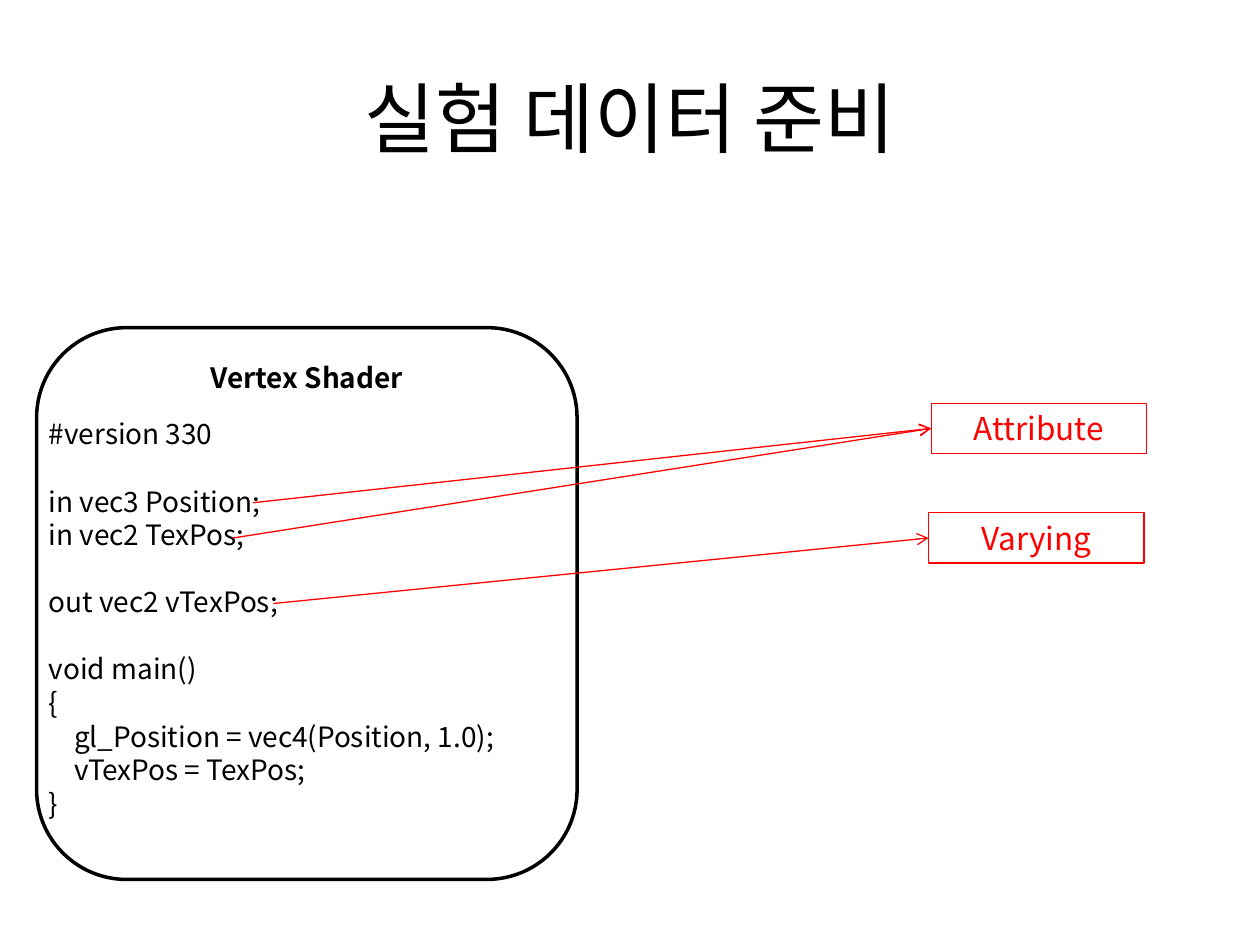
from typing import NamedTuple

from lxml.etree import SubElement
from pptx import Presentation
from pptx.dml.color import RGBColor
from pptx.enum.shapes import MSO_CONNECTOR, MSO_SHAPE
from pptx.enum.text import MSO_ANCHOR, PP_ALIGN
from pptx.oxml.ns import qn
from pptx.util import Inches, Pt

BLACK = RGBColor(0, 0, 0)
WHITE = RGBColor(255, 255, 255)
RED = RGBColor(255, 0, 0)
FONT = "Noto Sans CJK KR"
LINE_RATIO = 1.2
CODE_SIZE = 16
LABEL_SIZE = 18
PANEL_LEFT, PANEL_WIDTH = 0.29, 4.29
LABEL_WIDTH, LABEL_HEIGHT = 1.71, 0.4


class CodeLine(NamedTuple):
    text: str
    gap: bool = False
    indent: float = 0


class Label(NamedTuple):
    text: str
    left: float
    top: float
    sources: tuple[tuple[float, float], ...]


CODE = (
    CodeLine("#version 330"),
    CodeLine("in vec3 Position;", gap=True),
    CodeLine("in vec2 TexPos;"),
    CodeLine("out vec2 vTexPos;", gap=True),
    CodeLine("void main()", gap=True),
    CodeLine("{"),
    CodeLine("gl_Position = vec4(Position, 1.0);", indent=0.2),
    CodeLine("vTexPos = TexPos;", indent=0.2),
    CodeLine("}"),
)
LABELS = (
    Label("Attribute", 7.39, 3.2, ((2.01, 3.99), (1.85, 4.27))),
    Label("Varying", 7.37, 4.07, ((2.17, 4.79),)),
)


def style_para(para, size: float, color: RGBColor, align=PP_ALIGN.CENTER,
               bold: bool = False, fixed: bool = True) -> None:
    para.alignment = align
    if fixed:
        para.line_spacing = Pt(size * LINE_RATIO)
    for span in para.runs:
        span.font.name = FONT
        span.font.size = Pt(size)
        span.font.bold = bold
        span.font.color.rgb = color
        SubElement(span.font._element, qn("a:ea")).set("typeface", FONT)


def add_text_box(page, left: float, top: float, width: float, height: float):
    box = page.shapes.add_textbox(*map(Inches, (left, top, width, height)))
    box.text_frame.word_wrap = True
    return box.text_frame


def add_outline(page, kind, left: float, top: float, width: float, height: float,
                color: RGBColor, weight: float):
    box = page.shapes.add_shape(kind, *map(Inches, (left, top, width, height)))
    box.shadow.inherit = False
    box.fill.background()
    box.line.color.rgb = color
    box.line.width = Pt(weight)
    return box


def add_arrow(page, start: tuple[float, float], end: tuple[float, float]) -> None:
    arrow = page.shapes.add_connector(MSO_CONNECTOR.STRAIGHT, *map(Inches, start + end))
    arrow.line.color.rgb = RED
    arrow.line.width = Pt(0.75)
    SubElement(arrow.line._get_or_add_ln(), qn("a:tailEnd")).set("type", "arrow")
    SubElement(arrow._element.spPr, qn("a:effectLst"))


def add_title(page) -> None:
    frame = add_text_box(page, 0.5, 0.3, 9, 1.25)
    frame.vertical_anchor = MSO_ANCHOR.MIDDLE
    frame.text = "실험 데이터 준비"
    style_para(frame.paragraphs[0], 44, BLACK, fixed=False)


def add_shader(page) -> None:
    panel = add_outline(page, MSO_SHAPE.ROUNDED_RECTANGLE, PANEL_LEFT, 2.6,
                        PANEL_WIDTH, 4.38, BLACK, 2)
    panel.fill.solid()
    panel.fill.fore_color.rgb = WHITE
    heading = panel.text_frame
    heading.vertical_anchor = MSO_ANCHOR.TOP
    heading.text = "Vertex Shader"
    style_para(heading.paragraphs[0], CODE_SIZE, BLACK, bold=True)

    frame = add_text_box(page, PANEL_LEFT, 3.26, PANEL_WIDTH, 3.33)
    frame.text = "\n".join(line.text for line in CODE)
    for para, line in zip(frame.paragraphs, CODE):
        style_para(para, CODE_SIZE, BLACK, PP_ALIGN.LEFT)
        if line.gap:
            para.space_before = Pt(CODE_SIZE * LINE_RATIO)
        if line.indent:
            para._p.get_or_add_pPr().set("marL", str(Inches(line.indent)))


def add_label(page, label: Label) -> None:
    box = add_outline(page, MSO_SHAPE.RECTANGLE, label.left, label.top,
                      LABEL_WIDTH, LABEL_HEIGHT, RED, 0.75)
    box.text_frame.vertical_anchor = MSO_ANCHOR.MIDDLE
    box.text_frame.text = label.text
    style_para(box.text_frame.paragraphs[0], LABEL_SIZE, RED)
    for source in label.sources:
        add_arrow(page, source, (label.left, label.top + LABEL_HEIGHT / 2))


deck = Presentation()
deck.slide_width, deck.slide_height = Inches(10), Inches(7.5)
page = deck.slides.add_slide(deck.slide_layouts[6])
add_shader(page)
add_title(page)
for label in LABELS:
    add_label(page, label)
deck.save("out.pptx")
